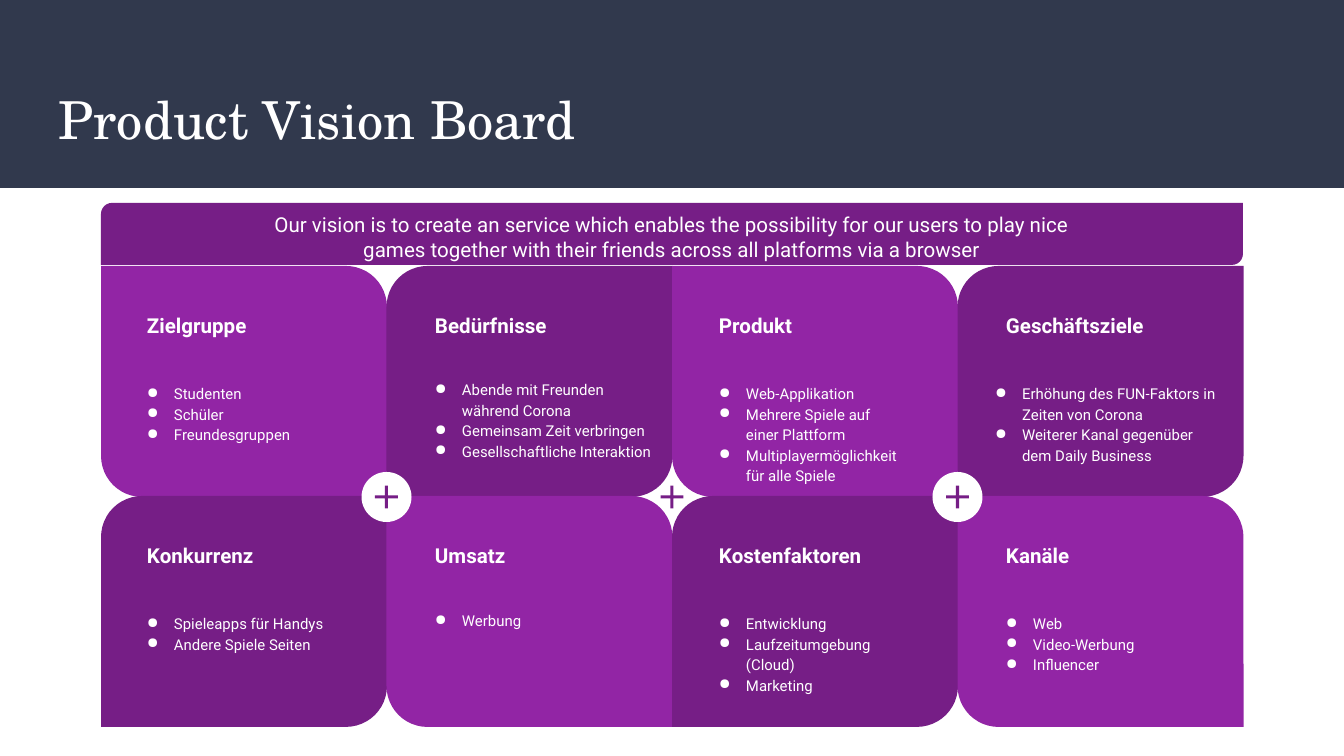
import pptx
import pptx.dml.color
import pptx.enum.shapes
import pptx.enum.text
import pptx.util
from lxml import etree

SHAPE = pptx.enum.shapes.MSO_SHAPE
ALIGN = pptx.enum.text.PP_ALIGN
NAMESPACE = "http://schemas.openxmlformats.org/drawingml/2006/main"

EMU_PER_PX = 914400 / 134.4
NAVY, DARK, LIGHT, WHITE = "31394D", "761E86", "9225A5", "FFFFFF"
CORNER = 0.178
INSET = 13

BOARD_LEFT, BOARD_TOP, BOARD_WIDTH = 101, 266, 1142
CARD_WIDTH, CARD_HEIGHT, ROW_PITCH = 286, 231, 230
TEXT_LEFTS = (134, 422, 706, 993)

# Heading, bullet points, and where needed the shift (x, y) and width of the list
CARDS = [
    [
        ("Zielgruppe", ["Studenten", "Schüler", "Freundesgruppen"]),
        ("Bedürfnisse", ["Abende mit Freunden während Corona",
                         "Gemeinsam Zeit verbringen",
                         "Gesellschaftliche Interaktion"], (0, -4), 249),
        ("Produkt", ["Web-Applikation",
                     "Mehrere Spiele auf einer Plattform",
                     "Multiplayermöglichkeit für alle Spiele"]),
        ("Geschäftsziele", ["Erhöhung des FUN-Faktors in Zeiten von Corona",
                            "Weiterer Kanal gegenüber dem Daily Business"],
         (-11, 0), 253),
    ],
    [
        ("Konkurrenz", ["Spieleapps für Handys", "Andere Spiele Seiten"]),
        ("Umsatz", ["Werbung"]),
        ("Kostenfaktoren", ["Entwicklung", "Laufzeitumgebung (Cloud)", "Marketing"]),
        ("Kanäle", ["Web", "Video-Werbung", "Influencer"]),
    ],
]


def px(value):
    return pptx.util.Emu(round(value * EMU_PER_PX))


def color(value):
    return pptx.dml.color.RGBColor.from_string(value)


def add_shape(shapes, kind, left, top, width, height, fill, adjustments=()):
    shape = shapes.add_shape(kind, px(left), px(top), px(width), px(height))
    shape.shadow.inherit = False
    shape.fill.solid()
    shape.fill.fore_color.rgb = color(fill)
    shape.line.fill.background()
    for index, value in enumerate(adjustments):
        shape.adjustments[index] = value
    return shape


def set_frame(frame):
    frame.word_wrap = True
    frame.vertical_anchor = pptx.enum.text.MSO_ANCHOR.TOP
    frame.margin_left = frame.margin_right = px(INSET)
    frame.margin_top = frame.margin_bottom = px(INSET)


def set_font(paragraph, size, name="Roboto", bold=False):
    paragraph.font.size = pptx.util.Pt(size)
    paragraph.font.name = name
    paragraph.font.bold = bold
    paragraph.font.color.rgb = color(WHITE)


def add_bullet(paragraph):
    paragraph.line_spacing = 1.15
    properties = paragraph._p.get_or_add_pPr()
    properties.set("marL", str(px(27)))
    properties.set("indent", str(px(-28)))
    bullet_color = etree.SubElement(properties, f"{{{NAMESPACE}}}buClr")
    etree.SubElement(bullet_color, f"{{{NAMESPACE}}}srgbClr", val=WHITE)
    etree.SubElement(properties, f"{{{NAMESPACE}}}buChar", char="●")


def add_text(shapes, left, top, width, height, lines, size,
             bold=False, bullets=False, align=ALIGN.LEFT):
    frame = shapes.add_textbox(px(left), px(top), px(width), px(height)).text_frame
    set_frame(frame)
    frame.text = "\n".join(lines)
    for paragraph in frame.paragraphs:
        paragraph.alignment = align
        if bullets:
            add_bullet(paragraph)
        set_font(paragraph, size, bold=bold)


def add_header(slide):
    title = slide.shapes.title
    title.left, title.top, title.width, title.height = px(46), px(74), px(1253), px(91)
    title.text = "Product Vision Board"
    set_frame(title.text_frame)
    paragraph = title.text_frame.paragraphs[0]
    paragraph.alignment = ALIGN.LEFT
    set_font(paragraph, 28, name="TeX Gyre Schola")
    band = add_shape(slide.shapes, SHAPE.RECTANGLE, 0, 0, 1344, 188, NAVY)
    title.element.addprevious(band.element)


def add_vision(slide):
    shapes = slide.shapes.add_group_shape().shapes
    add_shape(shapes, SHAPE.ROUND_2_DIAG_RECTANGLE, BOARD_LEFT, 203, BOARD_WIDTH, 62,
              DARK, (CORNER, 0))
    add_text(shapes, 246, 199, 852, 50,
             ["Our vision is to create an service which enables the possibility for our "
              "users to play nice games together with their friends across all platforms "
              "via a browser"], 11, align=ALIGN.CENTER)


def add_card(slide, row, column, heading, points, shift=(0, 0), list_width=214):
    shapes = slide.shapes.add_group_shape().shapes
    left = BOARD_LEFT + column * BOARD_WIDTH / 4
    top = BOARD_TOP + row * ROW_PITCH
    is_dark = (row + column) % 2 == 1
    add_shape(shapes, SHAPE.ROUND_2_DIAG_RECTANGLE, left, top, CARD_WIDTH, CARD_HEIGHT,
              DARK if is_dark else LIGHT, (CORNER, 0) if is_dark else (0, CORNER))
    text_left = TEXT_LEFTS[column]
    add_text(shapes, text_left, top + 35, 214, 67, [heading], 11, bold=True)
    add_text(shapes, text_left + shift[0], top + 103 + shift[1], list_width, 75,
             points, 8, bullets=True)


def add_plus_badge(slide, column):
    """Put a plus on a white disc where four cards meet, left of the given column."""
    shapes = slide.shapes.add_group_shape().shapes
    center_x = BOARD_LEFT + column * BOARD_WIDTH / 4
    center_y = BOARD_TOP + ROW_PITCH + 1
    for kind, size, fill, adjustments in (
        (SHAPE.OVAL, 50, WHITE, ()),
        (SHAPE.MATH_PLUS, 31, DARK, (0.1,)),
    ):
        add_shape(shapes, kind, center_x - size / 2, center_y - size / 2,
                  size, size, fill, adjustments)


def main():
    presentation = pptx.Presentation()
    presentation.slide_width, presentation.slide_height = px(1344), px(756)
    slide = presentation.slides.add_slide(presentation.slide_layouts[5])
    add_header(slide)
    add_plus_badge(slide, 2)  # the cards overlap the middle disc
    for row, cards in enumerate(CARDS):
        for column, card in enumerate(cards):
            add_card(slide, row, column, *card)
    for column in (1, 3):
        add_plus_badge(slide, column)
    add_vision(slide)
    presentation.save("out.pptx")


if __name__ == "__main__":
    main()
